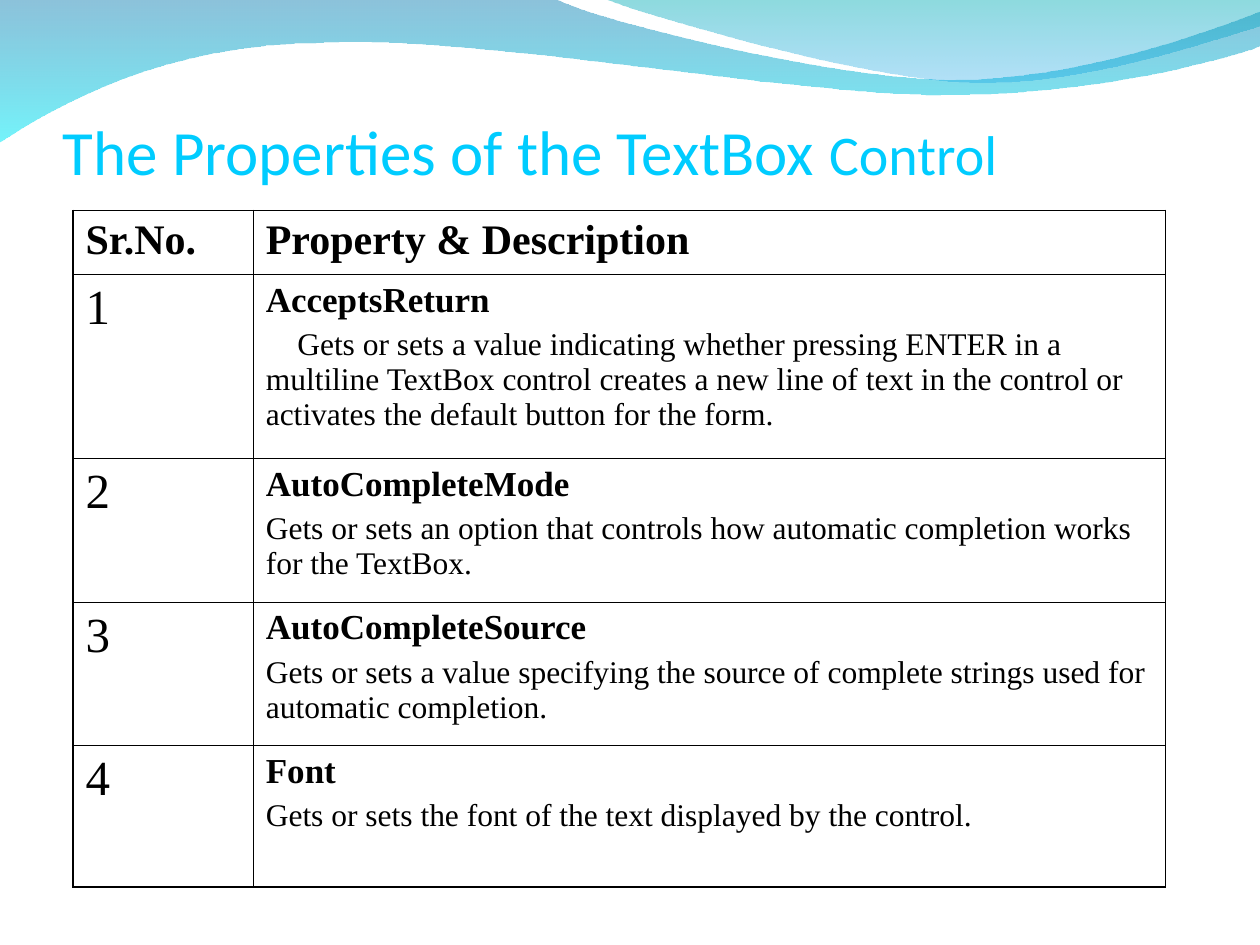
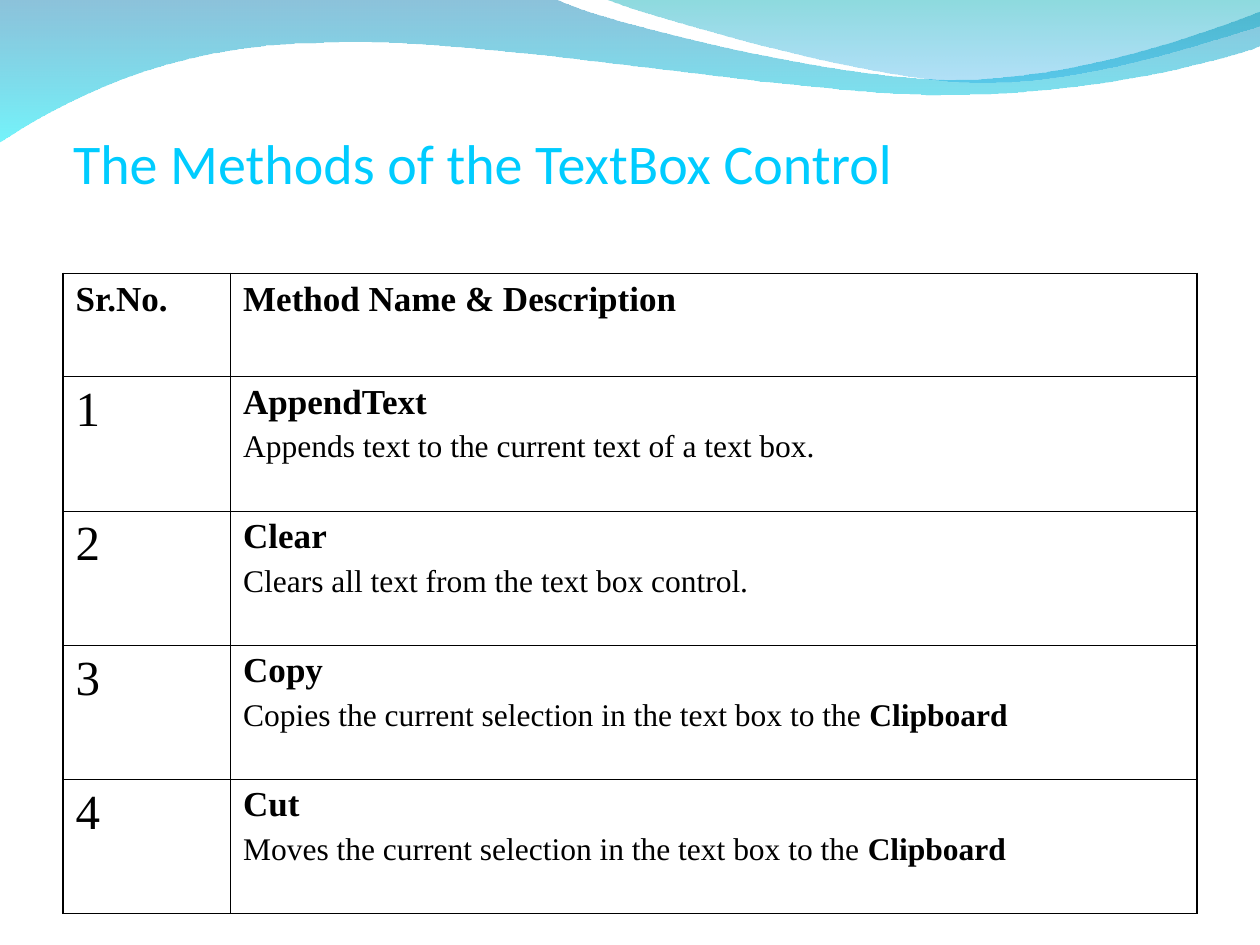
from lxml import etree
from pptx import Presentation
from pptx.dml.color import RGBColor
from pptx.enum.text import MSO_ANCHOR
from pptx.oxml.ns import qn
from pptx.util import Inches, Pt

BOTTOM = MSO_ANCHOR.BOTTOM
BLANK = 6
HEAD, BODY = "Calibri", "Times New Roman"
COLORS = {
    "title": "00CCFF", "text": "000000", "rule": "000000",
    "back top": "0079AF", "back end": "00EBF8",
    "front top": "00ADB6", "front end": "009BE5",
}
THICK, THIN = Pt(1.08), Pt(0.45)

# Each wave is a start point, then lines (one point) and curves (three points).
BACK = [
    [(0, -0.01)], [(4.4, -0.01)],
    [(4.76, 0.17), (6.64, 0.63), (7.58, 0.63)],
    [(8.53, 0.63), (9.58, 0.26), (10, 0.09)],
    [(10.01, 0.36)],
    [(9.83, 0.44), (8.7, 0.76), (7.46, 0.75)],
    [(6.22, 0.75), (3.82, 0.28), (2.57, 0.34)],
    [(1.29, 0.35), (0.46, 0.83), (-0.01, 1.13)],
]
FRONT = [
    [(4.79, -0.01)],
    [(5.09, 0.11), (6.82, 0.62), (7.69, 0.65)],
    [(8.56, 0.69), (9.61, 0.32), (10, 0.21)],
    [(10, 0)],
]

PROPS = [
    ("AcceptsReturn", "Gets or sets a value indicating whether pressing ENTER in a "
     "multiline TextBox control creates a new line of text in the control or "
     "activates the default button for the form.", ""),
    ("AutoCompleteMode", "Gets or sets an option that controls how automatic "
     "completion works for the TextBox.", ""),
    ("AutoCompleteSource", "Gets or sets a value specifying the source of complete "
     "strings used for automatic completion.", ""),
    ("Font", "Gets or sets the font of the text displayed by the control.", ""),
]
METHODS = [
    ("AppendText", "Appends text to the current text of a text box.", ""),
    ("Clear", "Clears all text from the text box control.", ""),
    ("Copy", "Copies the current selection in the text box to the ", "Clipboard"),
    ("Cut", "Moves the current selection in the text box to the ", "Clipboard"),
]


def rgb(name):
    return RGBColor.from_string(COLORS[name])


def style(font, size, color="text", face=BODY, bold=False):
    font.size, font.name, font.bold = Pt(size), face, bold
    font.color.rgb = rgb(color)


def add_outline(slide, moves):
    """Freeform through the end points, with its curves bent by their handles."""
    ends = [(Inches(x), Inches(y)) for x, y in (move[-1] for move in moves)]
    path = slide.shapes.build_freeform(*ends[0])
    path.add_line_segments(ends[1:], close=True)
    shape = path.convert_to_shape()
    lines = list(shape.element.iter(qn("a:lnTo")))
    for line, move in zip(lines, moves[1:]):
        if len(move) == 3:
            curve = etree.Element(qn("a:cubicBezTo"))
            for x, y in move:
                etree.SubElement(curve, qn("a:pt"), x=str(Inches(x) - shape.left),
                                 y=str(Inches(y) - shape.top))
            line.getparent().replace(line, curve)
    return shape


def add_wave(slide, moves, stops):
    wave = add_outline(slide, moves)
    wave.shadow.inherit = False
    wave.line.fill.background()
    wave.fill.background()
    blank = wave.element.spPr.find(qn("a:noFill"))
    grad = etree.Element(qn("a:gradFill"), rotWithShape="1")
    row = etree.SubElement(grad, qn("a:gsLst"))
    for pos, color, alpha in stops:
        stop = etree.SubElement(row, qn("a:gs"), pos=str(pos * 1000))
        tint = etree.SubElement(stop, qn("a:srgbClr"), val=COLORS[color])
        etree.SubElement(tint, qn("a:alpha"), val=str(alpha * 1000))
    etree.SubElement(grad, qn("a:lin"), ang="5400000", scaled="0")
    blank.getparent().replace(blank, grad)


def add_waves(slide):
    add_wave(slide, BACK, [(0, "back top", 45), (100, "back end", 55)])
    add_wave(slide, FRONT, [(0, "front top", 45), (100, "front end", 30)])


def add_title(slide, left, top, parts):
    box = slide.shapes.add_textbox(Inches(left), Inches(top), Inches(9), Inches(1.25))
    frame = box.text_frame
    frame.word_wrap = True
    frame.vertical_anchor = BOTTOM
    frame.margin_left = frame.margin_right = 0
    frame.margin_bottom = Inches(0.53)
    for text, size in parts:
        run = frame.paragraphs[0].add_run()
        run.text = text
        style(run.font, size, "title", HEAD)


def set_edges(cell, edges):
    """Rule the cell's sides; edges maps a side letter to a line width."""
    props = cell._tc.get_or_add_tcPr()
    for i, (side, width) in enumerate(edges.items()):
        line = etree.Element(qn("a:ln" + side), w=str(width))
        fill = etree.SubElement(line, qn("a:solidFill"))
        etree.SubElement(fill, qn("a:srgbClr"), val=COLORS["rule"])
        props.insert(i, line)


def write(cell, text, size, bold=False):
    para = cell.text_frame.paragraphs[0]
    para.text = text
    style(para.font, size, bold=bold)


def describe(cell, name, text, tail, indent):
    write(cell, name, 20, True)
    para = cell.text_frame.add_paragraph()
    para.space_before = Pt(4.5)
    if indent:
        para._p.get_or_add_pPr().set("indent", str(Inches(indent)))
    for part, bold in ((text, False), (tail, True)):
        if part:
            run = para.add_run()
            run.text = part
            style(run.font, 18, bold=bold)


def add_list(slide, left, top, cols, rows, heads, size, items, indent=0):
    """Numbered table; indent is for the first description only."""
    grid = slide.shapes.add_table(
        len(rows), len(cols), Inches(left), Inches(top),
        Inches(sum(cols)), Inches(sum(rows))).table
    grid.first_row = grid.horz_banding = False
    for col, width in zip(grid.columns, cols):
        col.width = Inches(width)
    for row, height in zip(grid.rows, rows):
        row.height = Inches(height)

    for i, head in enumerate(heads):
        write(grid.cell(0, i), head, size, True)
    for num, item in enumerate(items, 1):
        write(grid.cell(num, 0), str(num), 28)
        describe(grid.cell(num, 1), *item, indent if num == 1 else 0)

    for r in range(len(rows)):
        for c in range(len(cols)):
            cell = grid.cell(r, c)
            cell.fill.background()
            outer = {"L": c == 0, "R": c == len(cols) - 1,
                     "T": r == 0, "B": r == len(rows) - 1}
            set_edges(cell, {s: THICK if out else THIN for s, out in outer.items()})


def add_slide(deck):
    slide = deck.slides.add_slide(deck.slide_layouts[BLANK])
    add_waves(slide)
    return slide


def main():
    deck = Presentation()
    deck.slide_width, deck.slide_height = Inches(10), Inches(7.5)

    slide = add_slide(deck)
    add_title(slide, 0.5, 0.77, [("The Properties of the TextBox ", 36), ("Control", 32)])
    add_list(slide, 0.58, 1.67, [1.43, 7.24], [0.51, 1.46, 1.14, 1.14, 1.12],
             ["Sr.No.", "Property & Description"], 24, PROPS, indent=0.25)

    slide = add_slide(deck)
    add_title(slide, 0.58, 0.83, [("The Methods of the TextBox Control", 32)])
    head, full = 0.82, 5.08
    each = (full - head) / len(METHODS)
    add_list(slide, 0.5, 2.17, [1.33, 7.67], [head] + [each] * len(METHODS),
             ["Sr.No.", "Method Name & Description"], 20, METHODS)

    deck.save("out.pptx")


if __name__ == "__main__":
    main()
